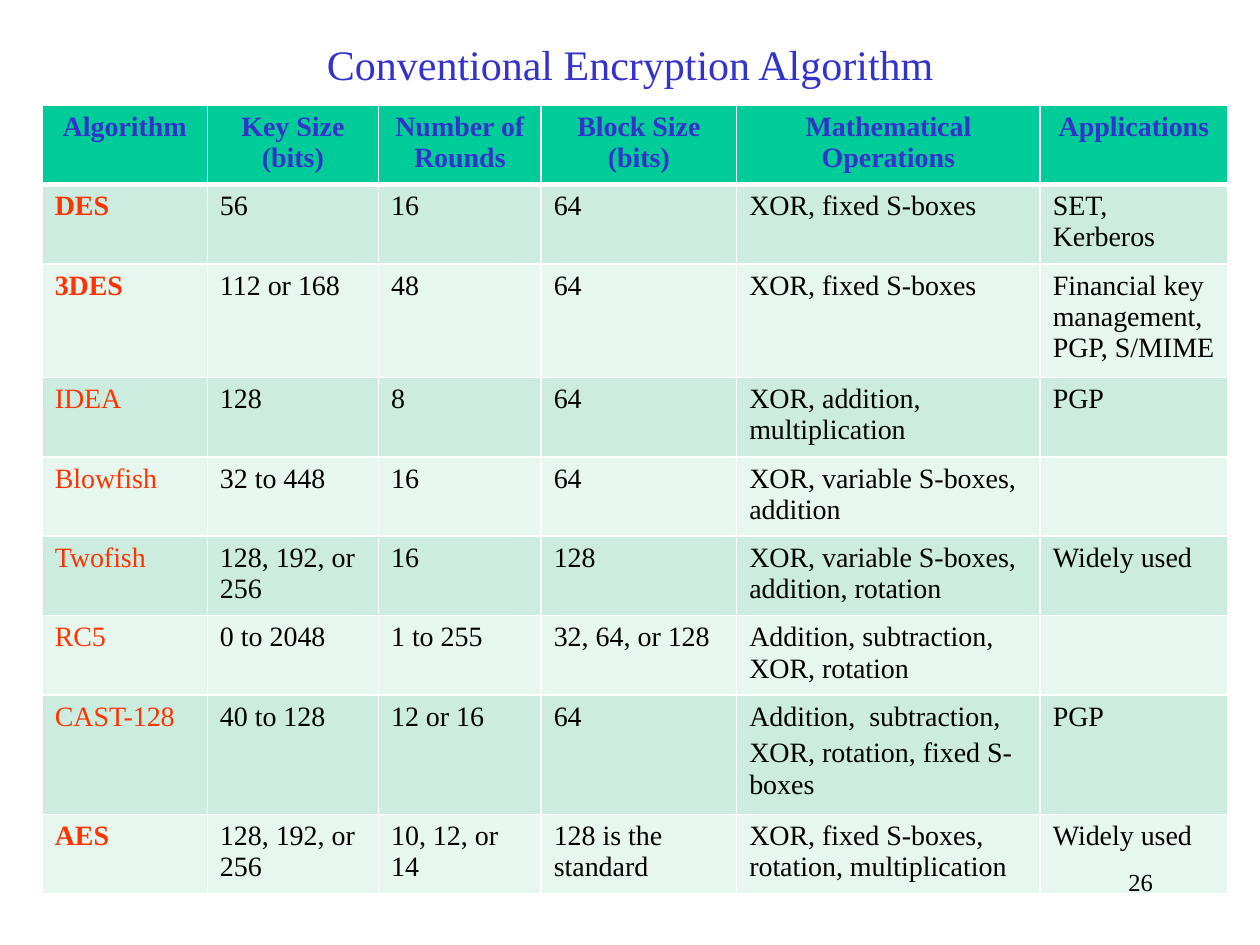
from lxml.etree import SubElement
from pptx import Presentation
from pptx.dml.color import RGBColor
from pptx.enum.text import MSO_ANCHOR, MSO_AUTO_SIZE, PP_ALIGN
from pptx.oxml.ns import qn
from pptx.util import Cm, Pt

COLORS = {
    "title": "3333CC",
    "name": "FF3300",
    "text": "000000",
    "header": "00CC99",
    "odd": "CBECDE",
    "even": "E7F6EF",
    "border": "FFFFFF",
}
COL_WIDTHS = [3.33, 3.45, 3.28, 3.94, 6.12, 3.78]
ROW_HEIGHT = 1.6
TALL_ROWS = {"3DES": 2.29, "CAST-128": 2.41}
BOLD_NAMES = {"DES", "3DES", "AES"}
HEADERS = ["Algorithm", "Key Size (bits)", "Number of Rounds",
           "Block Size (bits)", "Mathematical Operations", "Applications"]
ALGORITHMS = [
    ["DES", "56", "16", "64", "XOR, fixed S-boxes", "SET, Kerberos"],
    ["3DES", "112 or 168", "48", "64", "XOR, fixed S-boxes",
     "Financial key management, PGP, S/MIME"],
    ["IDEA", "128", "8", "64", "XOR, addition, multiplication", "PGP"],
    ["Blowfish", "32 to 448", "16", "64", "XOR, variable S-boxes, addition", ""],
    ["Twofish", "128, 192, or 256", "16", "128",
     "XOR, variable S-boxes, addition, rotation", "Widely used"],
    ["RC5", "0 to 2048", "1 to 255", "32, 64, or 128",
     "Addition, subtraction, XOR, rotation", ""],
    ["CAST-128", "40 to 128", "12 or 16", "64",
     "Addition,  subtraction,\nXOR, rotation, fixed S-boxes", "PGP"],
    ["AES", "128, 192, or 256", "10, 12, or 14", "128 is the standard",
     "XOR, fixed S-boxes, rotation, multiplication", "Widely used"],
]


class SlideBuilder:
    font = "Times New Roman"

    def __init__(self, prs):
        self.s = prs.slides.add_slide(prs.slide_layouts[5])

    def set_text(self, tf, text, size, color, bold=False, align=PP_ALIGN.LEFT, before=0):
        tf.text = text
        for p in tf.paragraphs:
            p.alignment = align
            p.space_before = Pt(before)
            p.font.name = self.font
            p.font.size = Pt(size)
            p.font.bold = bold
            p.font.color.rgb = RGBColor.from_string(COLORS[color])

    def title(self, text, left, top, width, height):
        sp = self.s.shapes.title
        sp.left, sp.top, sp.width, sp.height = Cm(left), Cm(top), Cm(width), Cm(height)
        tf = sp.text_frame
        tf.auto_size = MSO_AUTO_SIZE.NONE
        tf.vertical_anchor = MSO_ANCHOR.MIDDLE
        self.set_text(tf, text, 24, "title", align=PP_ALIGN.CENTER)

    def text(self, text, left, top, width, height, align):
        sp = self.s.shapes.add_textbox(Cm(left), Cm(top), Cm(width), Cm(height))
        sp.text_frame.word_wrap = True
        self.set_text(sp.text_frame, text, 14, "text", align=align)

    def borders(self, cell, row):
        widths = {"L": 1, "R": 1, "T": 3 if row == 1 else 1, "B": 3 if row == 0 else 1}
        tc_pr = cell._tc.get_or_add_tcPr()
        for side, width in widths.items():
            ln = SubElement(tc_pr, qn(f"a:ln{side}"), w=str(Pt(width)))
            fill = SubElement(ln, qn("a:solidFill"))
            SubElement(fill, qn("a:srgbClr"), val=COLORS["border"])

    def cell(self, cell, text, row, col):
        self.borders(cell, row)
        band = "header" if row == 0 else "odd" if row % 2 else "even"
        cell.fill.solid()
        cell.fill.fore_color.rgb = RGBColor.from_string(COLORS[band])
        color = "title" if row == 0 else "name" if col == 0 else "text"
        self.set_text(cell.text_frame, text, 16, color,
                      bold=row == 0 or text in BOLD_NAMES,
                      align=PP_ALIGN.CENTER if row == 0 else PP_ALIGN.LEFT,
                      before=3.2)

    def table(self, rows, left, top):
        heights = [TALL_ROWS.get(row[0], ROW_HEIGHT) for row in rows]
        table = self.s.shapes.add_table(
            len(rows), len(COL_WIDTHS), Cm(left), Cm(top),
            Cm(sum(COL_WIDTHS)), Cm(sum(heights))).table
        for column, width in zip(table.columns, COL_WIDTHS):
            column.width = Cm(width)
        for i, (values, height) in enumerate(zip(rows, heights)):
            table.rows[i].height = Cm(height)
            for j, value in enumerate(values):
                self.cell(table.cell(i, j), value, i, j)


def main():
    prs = Presentation()
    prs.slide_width, prs.slide_height = Cm(25.4), Cm(19.05)
    slide = SlideBuilder(prs)
    slide.title("Conventional Encryption Algorithm ", 0.85, 0.64, 23.92, 1.27)
    slide.table([HEADERS] + ALGORITHMS, 0.85, 2.12)
    slide.text("26", 18.2, 17.36, 5.29, 1.27, PP_ALIGN.RIGHT)
    prs.save("out.pptx")


if __name__ == "__main__":
    main()
